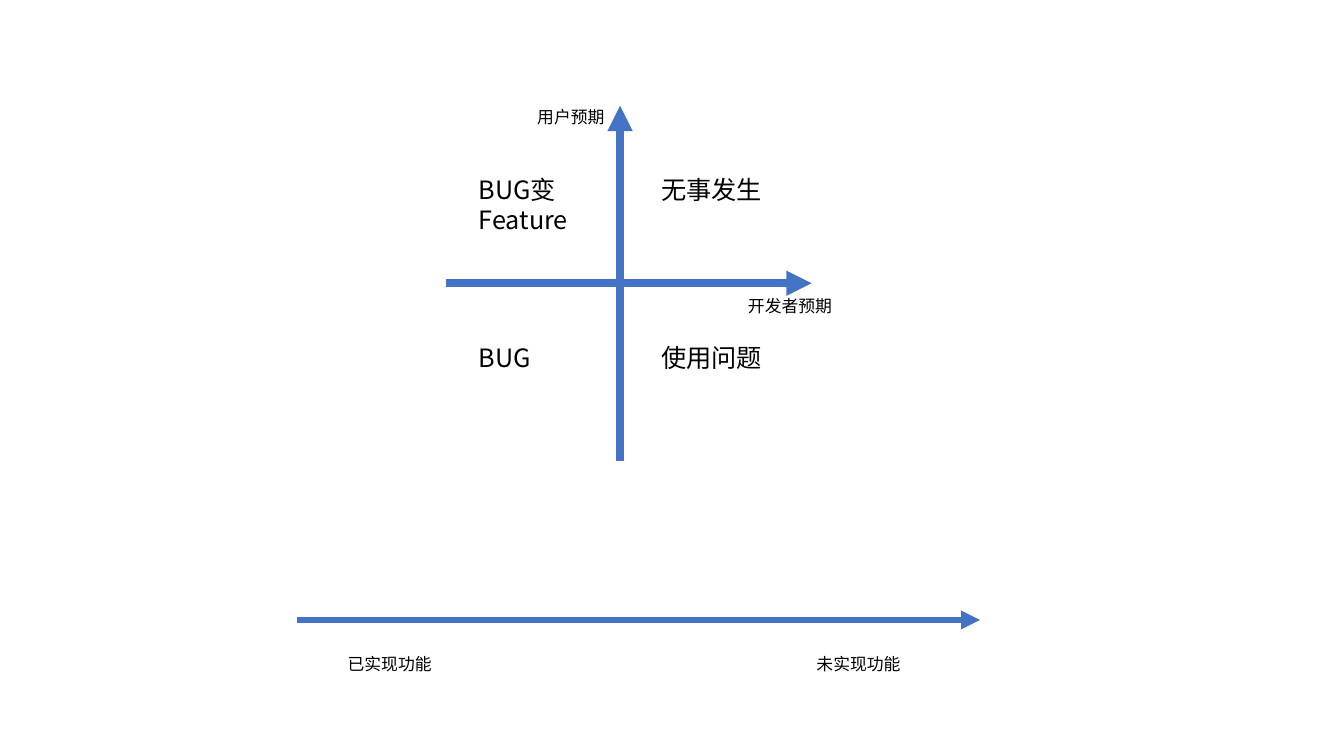
from pptx import Presentation
from pptx.dml.color import RGBColor
from pptx.enum.shapes import MSO_CONNECTOR
from pptx.enum.text import MSO_AUTO_SIZE
from pptx.oxml.ns import qn
from pptx.util import Inches, Pt
from lxml import etree

STRAIGHT = MSO_CONNECTOR.STRAIGHT
GROW = MSO_AUTO_SIZE.SHAPE_TO_FIT_TEXT
FONT = "Noto Sans CJK SC"
BLUE = "4472C4"
BLACK = "000000"


def set_color(color_format, value):
    color_format.rgb = RGBColor.from_string(value)


def add_arrow(page, start, end, weight):
    arrow = page.shapes.add_connector(
        STRAIGHT, *(Inches(value) for value in (*start, *end)))
    arrow.line.width = Pt(weight)
    set_color(arrow.line.color, BLUE)
    properties = arrow._element.spPr
    etree.SubElement(properties.find(qn("a:ln")), qn("a:tailEnd"), type="triangle")
    etree.SubElement(properties, qn("a:effectLst"))


def add_label(page, text, left, top, width, height, size, wrap=True):
    box = page.shapes.add_textbox(
        *(Inches(value) for value in (left, top, width, height)))
    frame = box.text_frame
    frame.word_wrap = wrap
    frame.auto_size = GROW
    para = frame.paragraphs[0]
    para.text = text
    font = para.font
    font.size = Pt(size)
    set_color(font.color, BLACK)
    font.name = FONT
    defaults = para._p.pPr.find(qn("a:defRPr"))
    etree.SubElement(defaults, qn("a:ea"), typeface=FONT)


def add_quadrants(page):
    add_arrow(page, (4.42, 2.81), (8.05, 2.81), 6)
    add_arrow(page, (6.15, 4.57), (6.15, 1.05), 6)
    add_label(page, "开发者预期", 7.32, 2.88, 1.59, 0.3, 12)
    add_label(page, "用户预期", 5.23, 1.01, 1.59, 0.3, 12)
    left, right = 4.65, 6.46
    upper, lower = 1.68, 3.35
    for text, x, y, height in (
        ("无事发生", right, upper, 0.4),
        ("BUG", left, lower, 0.4),
        ("BUG变Feature", left, upper, 0.71),
        ("使用问题", right, lower, 0.4),
    ):
        add_label(page, text, x, y, 1.59, height, 18)


def add_progress(page):
    add_arrow(page, (2.95, 6.15), (9.72, 6.15), 4.5)
    for text, left in (("已实现功能", 3.35), ("未实现功能", 8)):
        add_label(page, text, left, 6.44, 1.04, 0.3, 12, wrap=False)


def main():
    deck = Presentation()
    deck.slide_width = Inches(13.33)
    deck.slide_height = Inches(7.5)
    page = deck.slides.add_slide(deck.slide_layouts[6])
    add_quadrants(page)
    add_progress(page)
    deck.save("out.pptx")


if __name__ == "__main__":
    main()
